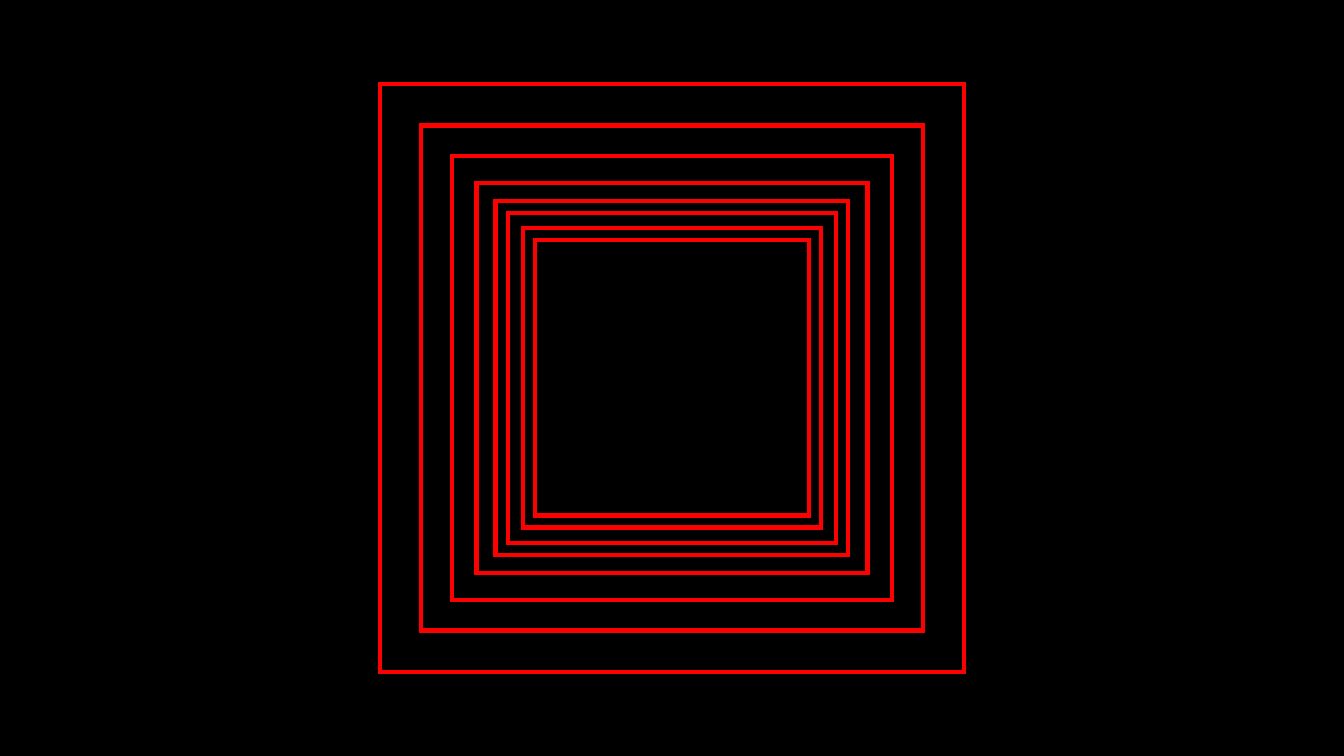
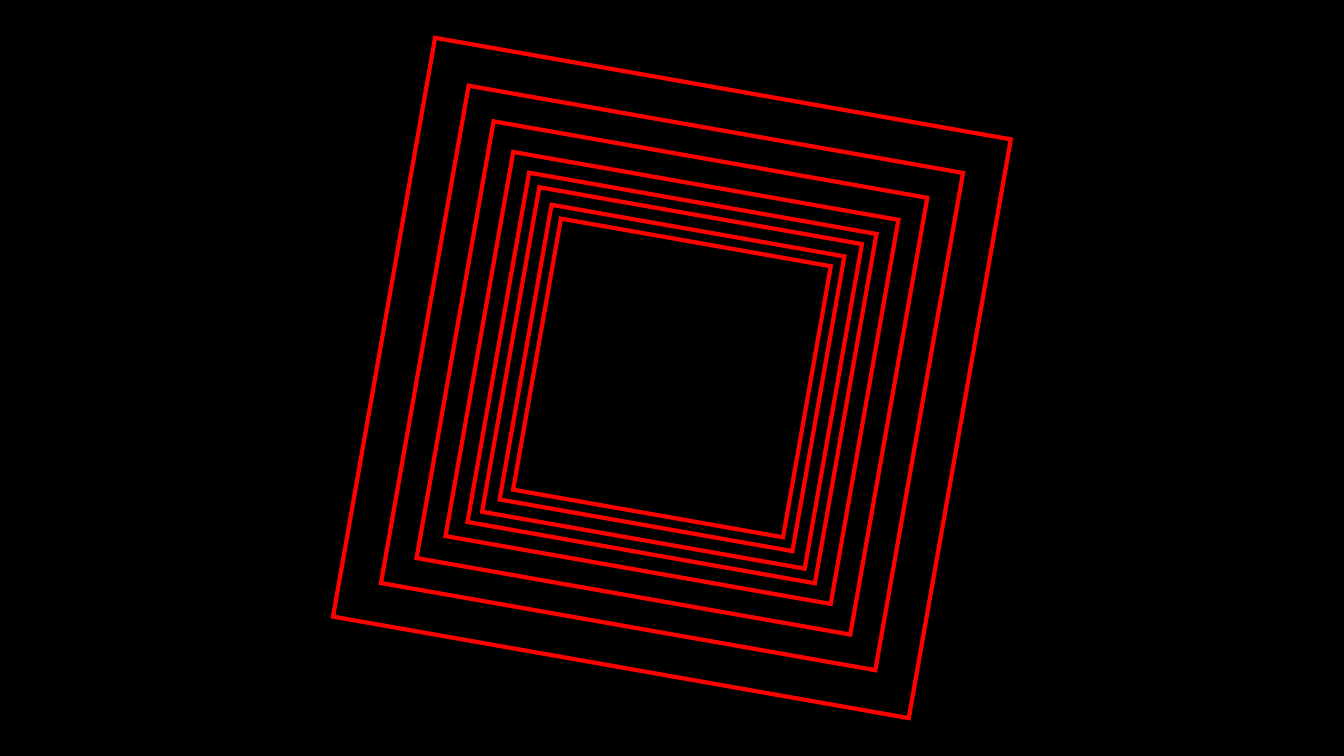
"""Build two slides of concentric red frames, the second one turned."""
from lxml import etree
from pptx import Presentation
from pptx.dml.color import RGBColor
from pptx.enum.shapes import MSO_SHAPE
from pptx.oxml.ns import qn
from pptx.util import Pt

RECT = MSO_SHAPE.RECTANGLE
BLACK, RED = "000000", "FF0000"
WIDTH, HEIGHT = 960, 540
LINE_WIDTH = 3
FRAME_SIZES = [
    (417.6, 419.8),
    (358.6, 360.7),
    (314.6, 316.8),
    (279.4, 278.6),
    (252, 253.4),
    (234, 235.4),
    (212.4, 213.8),
    (195.8, 196.6),
]
SLIDE_ROTATIONS = [0, 10]


def paint(fill, color):
    fill.solid()
    fill.fore_color.rgb = RGBColor.from_string(color)


def add_frame(shapes, width, height):
    left, top = (WIDTH - width) / 2, (HEIGHT - height) / 2
    sp = shapes.add_shape(RECT, Pt(left), Pt(top), Pt(width), Pt(height))
    sp.shadow.inherit = False
    sp.fill.background()
    paint(sp.line.fill, RED)
    sp.line.width = Pt(LINE_WIDTH)
    etree.SubElement(sp.element.spPr.find(qn("a:ln")), qn("a:miter"), lim="800000")


def add_frames_slide(prs, rotation):
    s = prs.slides.add_slide(prs.slide_layouts.get_by_name("Blank"))
    group = s.shapes.add_group_shape() if rotation else s
    for width, height in FRAME_SIZES:
        add_frame(group.shapes, width, height)
    if rotation:
        group.rotation = rotation


def main():
    prs = Presentation()
    prs.slide_width, prs.slide_height = Pt(WIDTH), Pt(HEIGHT)
    paint(prs.slide_master.background.fill, BLACK)
    for rotation in SLIDE_ROTATIONS:
        add_frames_slide(prs, rotation)
    prs.save("out.pptx")


if __name__ == "__main__":
    main()
